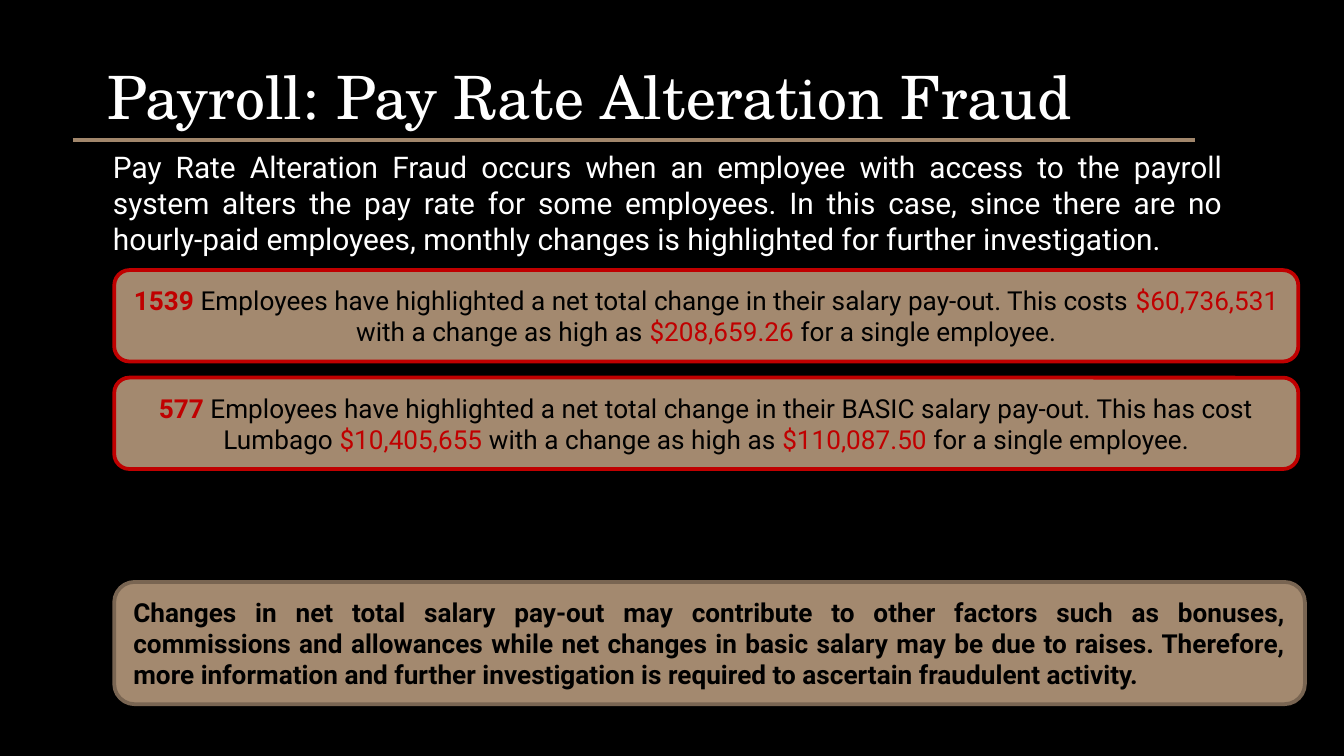
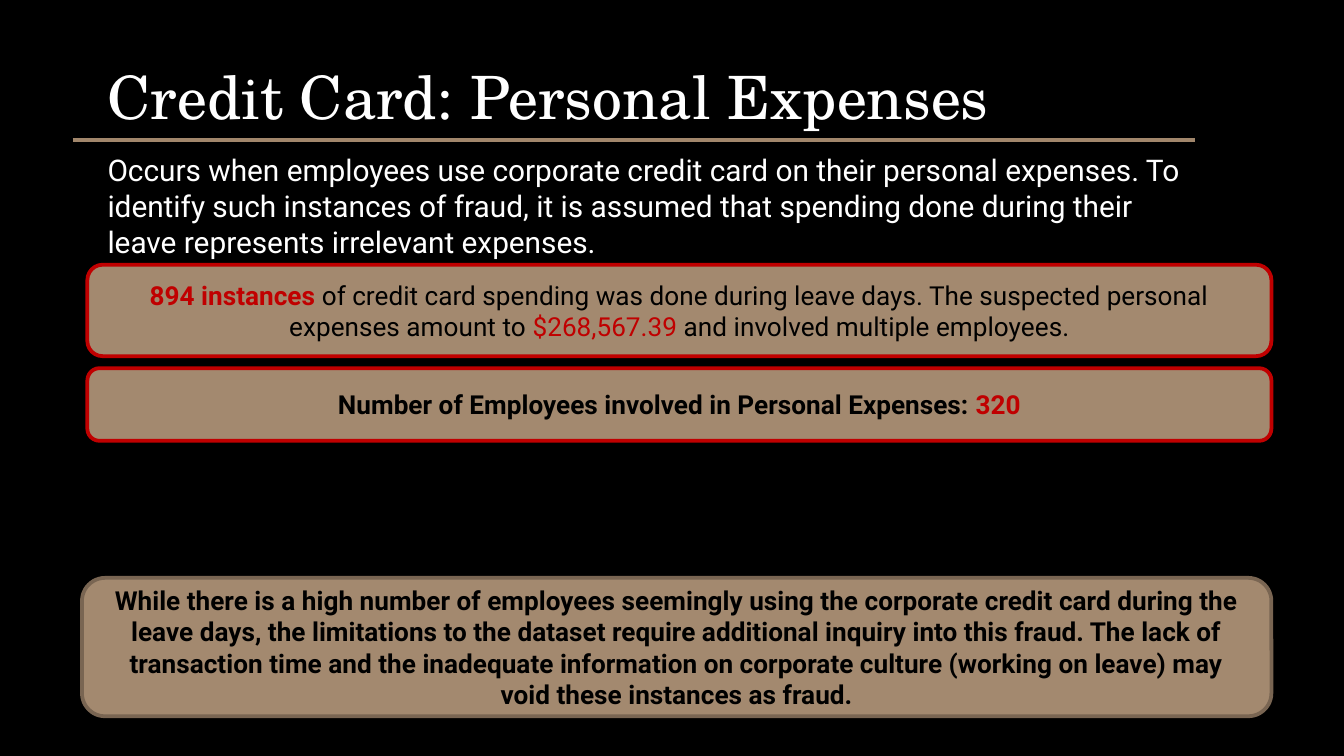
from lxml import etree
from pptx import Presentation
from pptx.dml.color import RGBColor
from pptx.enum import shapes as sh, text as tx
from pptx.oxml.ns import qn
from pptx.util import Inches, Pt

HUES = {"back": "000000", "text": "FFFFFF", "ink": "000000", "rule": "A1866B",
        "card": "A3896F", "edge": "796552", "red": "C00000"}
HEAD, BODY = "TeX Gyre Schola", "Roboto"
LEFT, MID, JUST = tx.PP_ALIGN.LEFT, tx.PP_ALIGN.CENTER, tx.PP_ALIGN.JUSTIFY

# Each run is (text, marks): "r" is red, "b" is bold.
# Each card is (place, edge colour, alignment, runs).
SLIDES = [
    {
        "title": "Payroll: Pay Rate Alteration Fraud",
        "intro": "Pay Rate Alteration Fraud occurs when an employee with access to the payroll "
                 "system alters the pay rate for some employees. In this case, since there are no "
                 "hourly-paid employees, monthly changes is highlighted for further investigation.",
        "place": (0.24, 1.01, 8.96, 0.91), "align": JUST, "indent": 0.5, "pad": 0.1,
        "cards": [
            ((0.85, 4.33, 8.86, 0.91), "edge", JUST, [
                ("Changes in net total salary pay-out may contribute to other factors such as "
                 "bonuses, commissions and allowances while net changes in basic salary may be "
                 "due to raises. Therefore, more information and further investigation is "
                 "required to ascertain fraudulent activity. ", "b")]),
            ((0.85, 2.01, 8.81, 0.68), "red", MID, [
                ("1539 ", "rb"),
                ("Employees have highlighted a net total change in their salary pay-out. "
                 "This costs ", ""),
                ("$60,736,531 ", "r"),
                ("with a change as high as ", ""),
                ("$208,659.26 ", "r"),
                ("for a single employee.", "")]),
            ((0.85, 2.81, 8.81, 0.68), "red", MID, [
                ("577 ", "rb"),
                ("Employees have highlighted a net total change in their BASIC salary pay-out. "
                 "This has cost Lumbago ", ""),
                ("$10,405,655 ", "r"),
                ("with a change as high as ", ""),
                ("$110,087.50", "r"),
                (" for a single employee.", "")]),
        ],
    },
    {
        "title": "Credit Card: Personal Expenses",
        "intro": "Occurs when employees use corporate credit card on their personal expenses. To "
                 "identify such instances of fraud, it is assumed that spending done during their "
                 "leave represents irrelevant expenses.",
        "place": (0.7, 1.08, 8.36, 0.91), "align": LEFT, "indent": 0, "pad": 0.05,
        "cards": [
            ((0.65, 1.97, 8.81, 0.68), "red", MID, [
                ("894 instances", "rb"),
                (" of credit card spending was done during leave days. The suspected personal "
                 "expenses amount to ", ""),
                ("$268,567.39 ", "r"),
                ("and involved multiple employees.", "")]),
            ((0.65, 2.74, 8.81, 0.54), "red", MID, [
                ("Number of Employees involved in Personal Expenses: ", "b"),
                ("320", "rb")]),
            ((0.61, 4.3, 8.85, 1.03), "edge", MID, [
                ("While there is a high number of employees seemingly using the corporate credit "
                 "card during the leave days, the limitations to the dataset require additional "
                 "inquiry into this fraud. The lack of transaction time and the inadequate "
                 "information on corporate culture (working on leave) may void these instances "
                 "as fraud.", "b")]),
        ],
    },
]


def hue(name):
    return RGBColor.from_string(HUES[name])


def style(run, face, size, tint, bold=False):
    font = run.font
    font.name, font.size, font.bold = face, Pt(size), bold
    font.color.rgb = hue(tint)


def fill_holder(item, place, words, face, size, align, anchor, pad):
    """Move a placeholder and give it one formatted paragraph."""
    item.left, item.top, item.width, item.height = map(Inches, place)
    frame = item.text_frame
    frame.text = words
    frame.word_wrap, frame.auto_size = True, tx.MSO_AUTO_SIZE.NONE
    frame.vertical_anchor = anchor
    frame.margin_left = frame.margin_right = Inches(0.1)
    frame.margin_top = frame.margin_bottom = Inches(pad)
    para = frame.paragraphs[0]
    para.alignment = align
    para.space_before = Pt(0)
    style(para.runs[0], face, size, "text")
    return para


def add_rule(slide):
    line = slide.shapes.add_connector(sh.MSO_CONNECTOR.STRAIGHT, Inches(0.54), Inches(1.04),
                                      Inches(8.89), Inches(1.04))
    line.line.color.rgb = hue("rule")
    line.line.width = Pt(2.25)
    etree.SubElement(line._element.spPr, qn("a:effectLst"))


def add_card(slide, place, edge, align, runs):
    card = slide.shapes.add_shape(sh.MSO_SHAPE.ROUNDED_RECTANGLE, *map(Inches, place))
    card.shadow.inherit = False
    card.fill.solid()
    card.fill.fore_color.rgb = hue("card")
    card.line.color.rgb = hue(edge)
    card.line.width = Pt(2)
    frame = card.text_frame
    frame.word_wrap, frame.vertical_anchor = True, tx.MSO_ANCHOR.MIDDLE
    para = frame.paragraphs[0]
    para.alignment = align
    for words, marks in runs:
        run = para.add_run()
        run.text = words
        style(run, BODY, 14, "red" if "r" in marks else "ink", "b" in marks)


def add_slide(deck, data):
    slide = deck.slides.add_slide(deck.slide_layouts[0])
    fill_holder(slide.shapes.title, (0.7, 0.24, 8.27, 0.84), data["title"],
                HEAD, 32, LEFT, tx.MSO_ANCHOR.BOTTOM, 0.1)
    add_rule(slide)
    para = fill_holder(slide.placeholders[1], data["place"], data["intro"],
                       BODY, 16, data["align"], tx.MSO_ANCHOR.TOP, data["pad"])
    para._p.get_or_add_pPr().set("marL", str(Inches(data["indent"])))
    for card in data["cards"]:
        add_card(slide, *card)


def main():
    deck = Presentation()
    deck.slide_width = Inches(10)
    deck.slide_height = deck.slide_width * 9 // 16
    back = deck.slide_master.background.fill
    back.solid()
    back.fore_color.rgb = hue("back")
    for data in SLIDES:
        add_slide(deck, data)
    deck.save("out.pptx")


if __name__ == "__main__":
    main()
